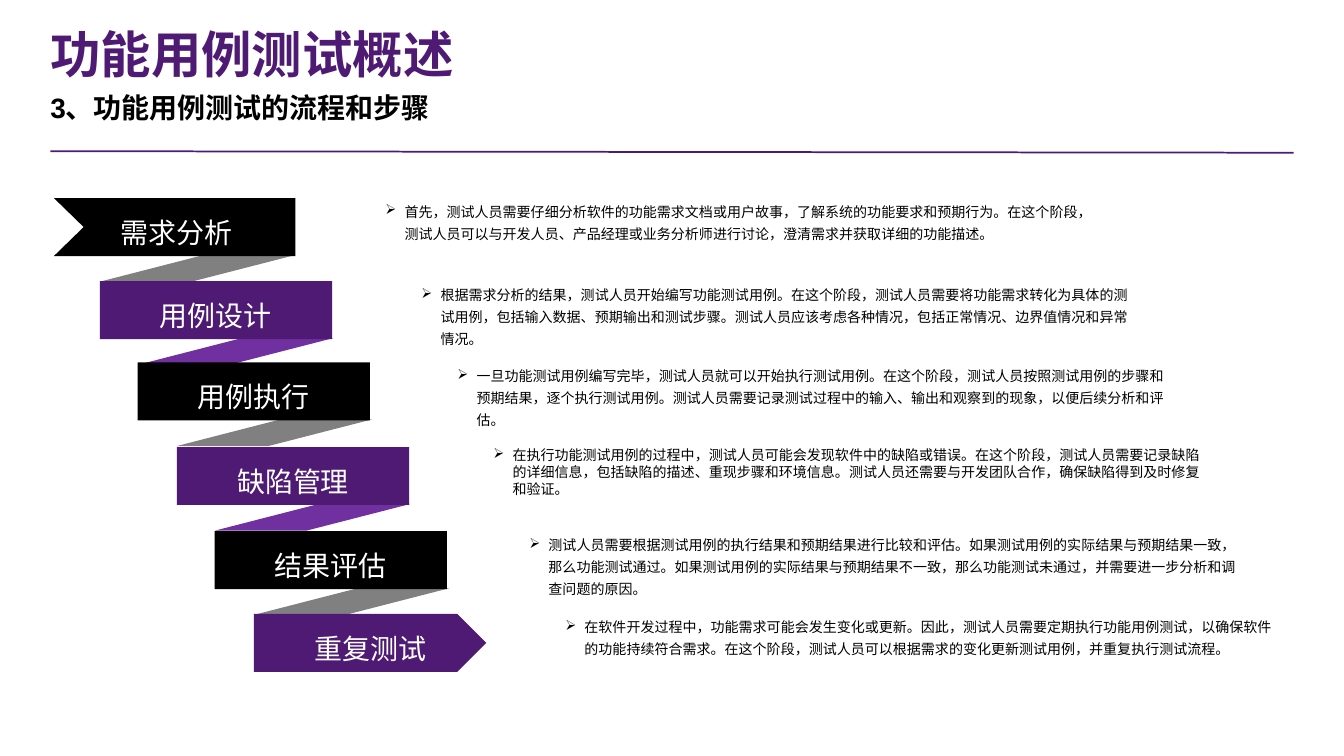
from dataclasses import dataclass

from pptx import Presentation
from pptx.dml.color import RGBColor
from pptx.enum.lang import MSO_LANGUAGE_ID as Lang
from pptx.enum.shapes import MSO_CONNECTOR as Connector, MSO_SHAPE as Preset
from pptx.enum.text import MSO_ANCHOR as Anchor, MSO_AUTO_SIZE as AutoSize, PP_ALIGN as Align
from pptx.oxml.ns import qn
from pptx.util import Inches, Pt

COLOURS = {"purple": "4F1A74", "violet": "7030A0", "grey": "808080",
           "black": "000000", "white": "FFFFFF"}
COLUMNS, ROWS = 26.67, 15
HEADING_FONT, BODY_FONT = "Arial", "Noto Sans CJK SC"
BANNER_WIDTH, BANNER_HEIGHT = 4.61, 1.15
RIBBON_WIDTH, RIBBON_HEIGHT = 3.88, 0.53
DETAIL_LEFT, DETAIL_SHIFT = 7.55, 0.714


@dataclass(frozen=True)
class Step:
    left: float
    top: float
    name: str
    detail: str
    leading: float = 31.4


STEPS = [
    Step(1.2, 3.93, "需求分析", "首先，测试人员需要仔细分析软件的功能需求文档或用户故事，了解系统的功能要求和预期行为。在这个阶段，测试人员可以与开发人员、产品经理或业务分析师进行讨论，澄清需求并获取详细的功能描述。"),
    Step(1.98, 5.58, "用例设计", "根据需求分析的结果，测试人员开始编写功能测试用例。在这个阶段，测试人员需要将功能需求转化为具体的测试用例，包括输入数据、预期输出和测试步骤。测试人员应该考虑各种情况，包括正常情况、边界值情况和异常情况。"),
    Step(2.73, 7.19, "用例执行", "一旦功能测试用例编写完毕，测试人员就可以开始执行测试用例。在这个阶段，测试人员按照测试用例的步骤和预期结果，逐个执行测试用例。测试人员需要记录测试过程中的输入、输出和观察到的现象，以便后续分析和评估。"),
    Step(3.51, 8.87, "缺陷管理", "在执行功能测试用例的过程中，测试人员可能会发现软件中的缺陷或错误。在这个阶段，测试人员需要记录缺陷的详细信息，包括缺陷的描述、重现步骤和环境信息。测试人员还需要与开发团队合作，确保缺陷得到及时修复和验证。", 23.8),
    Step(4.26, 10.54, "结果评估", "测试人员需要根据测试用例的执行结果和预期结果进行比较和评估。如果测试用例的实际结果与预期结果一致，那么功能测试通过。如果测试用例的实际结果与预期结果不一致，那么功能测试未通过，并需要进一步分析和调查问题的原因。"),
    Step(5.04, 12.18, "重复测试", "在软件开发过程中，功能需求可能会发生变化或更新。因此，测试人员需要定期执行功能用例测试，以确保软件的功能持续符合需求。在这个阶段，测试人员可以根据需求的变化更新测试用例，并重复执行测试流程。"),
]


def colour(name: str) -> RGBColor:
    return RGBColor.from_string(COLOURS[name])


def grid(*cells: float) -> list:
    return [Inches(cell) for cell in cells]


def paint(shape, fill: str) -> None:
    shape.shadow.inherit = False
    shape.fill.solid()
    shape.fill.fore_color.rgb = colour(fill)
    shape.line.fill.background()


def add_span(para, text: str, size: float, ink: str, font: str = BODY_FONT, bold: bool = False) -> None:
    span = para.add_run()
    span.text = text
    span.font.name = font
    span.font.size = Pt(size)
    span.font.bold = bold
    span.font.color.rgb = colour(ink)
    span.font.language_id = Lang.SIMPLIFIED_CHINESE
    east_asian = span.font._element.makeelement(qn("a:ea"), {"typeface": font})
    span.font._element.find(qn("a:latin")).addnext(east_asian)


def set_indent(para, margin: int, hanging: int, bullet: str = "") -> None:
    properties = para._p.get_or_add_pPr()
    properties.set("marL", str(margin))
    properties.set("indent", str(hanging))
    if bullet:
        mark = properties.makeelement(qn("a:buChar"), {"char": bullet})
    else:
        mark = properties.makeelement(qn("a:buNone"), {})
    properties.append(mark)


def fill_heading(box, top: float, height: float, text: str, size: float, ink: str,
                 anchor, leading: float) -> None:
    box.left, box.top, box.width, box.height = grid(1, top, COLUMNS - 2, height)
    frame = box.text_frame
    frame.margin_left = frame.margin_right = frame.margin_top = frame.margin_bottom = 0
    frame.word_wrap = True
    frame.auto_size = AutoSize.NONE
    frame.vertical_anchor = anchor
    para = frame.paragraphs[0]
    set_indent(para, 0, 0)
    para.alignment = Align.LEFT
    para.space_before = Pt(0)
    para.line_spacing = leading
    add_span(para, text, size, ink, HEADING_FONT, True)


def add_rule(page) -> None:
    rule = page.shapes.add_connector(Connector.STRAIGHT, *grid(1, 3, COLUMNS - 1, 3.03))
    rule.line.color.rgb = colour("purple")
    rule.line.width = Pt(2.5)
    properties = rule._element.spPr
    properties.append(properties.makeelement(qn("a:effectLst"), {}))


def add_ribbon(page, above: Step, below: Step, fill: str) -> None:
    ribbon = page.shapes.add_shape(Preset.PARALLELOGRAM, *grid(
        below.left, above.top + BANNER_HEIGHT - 0.02, RIBBON_WIDTH, RIBBON_HEIGHT))
    ribbon.adjustments[0] = 3.893
    paint(ribbon, fill)


def add_flag(page, top: float, fill: str) -> None:
    left, right, notch = 1.07, 5.86, 1.66
    bottom = top + BANNER_HEIGHT
    builder = page.shapes.build_freeform(*grid(left, top))
    corners = [(right, top), (right, bottom), (left, bottom), (notch, (top + bottom) / 2)]
    builder.add_line_segments([tuple(grid(*corner)) for corner in corners], close=True)
    paint(builder.convert_to_shape(), fill)


def add_banner(page, step: Step, preset, fill: str) -> None:
    paint(page.shapes.add_shape(
        preset, *grid(step.left, step.top, BANNER_WIDTH, BANNER_HEIGHT)), fill)


def add_label(page, step: Step) -> None:
    box = page.shapes.add_textbox(*grid(step.left + 0.37, step.top + 0.24, 3.87, 0.78))
    frame = box.text_frame
    frame.word_wrap = True
    frame.margin_bottom = 0
    para = frame.paragraphs[0]
    para.alignment = Align.CENTER
    para.line_spacing = Pt(52)
    add_span(para, step.name, 40, "white")


def add_detail(page, step: Step, index: int) -> None:
    box = page.shapes.add_textbox(*grid(
        DETAIL_LEFT + index * DETAIL_SHIFT, step.top - 0.05, 14.23, 1.23))
    box.text_frame.word_wrap = True
    para = box.text_frame.paragraphs[0]
    para.level = 1
    set_indent(para, Inches(0.38), -Inches(0.38), "➢")
    para.line_spacing = Pt(step.leading)
    para.space_after = Pt(10)
    add_span(para, step.detail, 20, "black")


def main() -> None:
    deck = Presentation()
    deck.slide_width, deck.slide_height = grid(COLUMNS, ROWS)
    page = deck.slides.add_slide(deck.slide_layouts[1])
    title, subtitle = page.placeholders
    fill_heading(title, 0.33, 1.33, "功能用例测试概述", 72, "purple", Anchor.BOTTOM, 1.0)
    fill_heading(subtitle, 1.67, 1, "3、功能用例测试的流程和步骤", 40, "black", Anchor.TOP, 1.2)
    add_rule(page)

    for index, (above, below) in enumerate(zip(STEPS, STEPS[1:])):
        add_ribbon(page, above, below, ("grey", "violet")[index % 2])
    for index, step in enumerate(STEPS):
        fill = ("black", "purple")[index % 2]
        if index == 0:
            add_flag(page, step.top, fill)
        else:
            last = index == len(STEPS) - 1
            add_banner(page, step, Preset.PENTAGON if last else Preset.RECTANGLE, fill)
        add_label(page, step)
        add_detail(page, step, index)

    deck.save("out.pptx")


if __name__ == "__main__":
    main()
